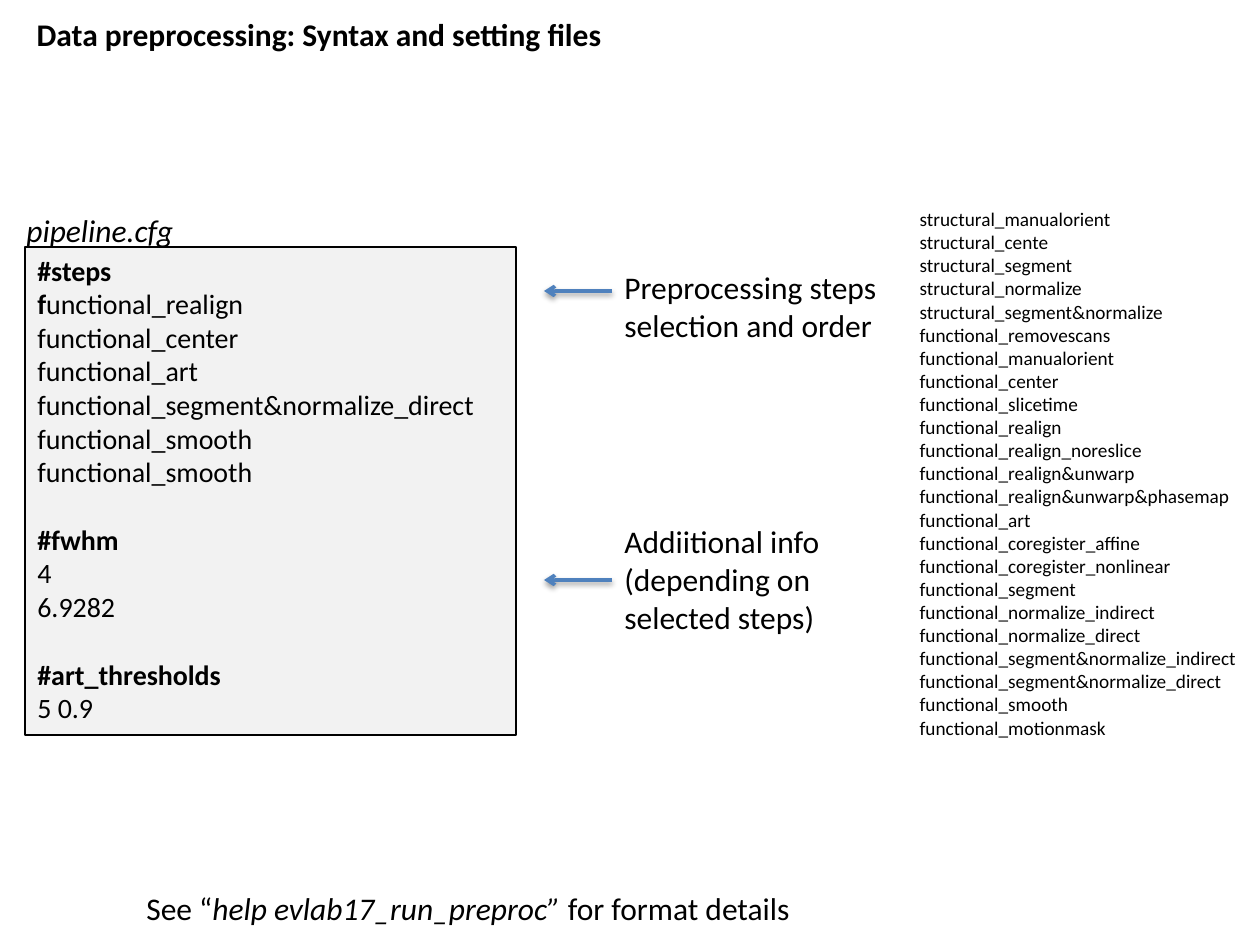
"""Build the slide on data preprocessing syntax and setting files."""
from lxml.etree import SubElement
from pptx import Presentation
from pptx.dml.color import RGBColor
from pptx.enum.shapes import MSO_CONNECTOR, MSO_SHAPE
from pptx.enum.text import MSO_ANCHOR, MSO_AUTO_SIZE, PP_ALIGN
from pptx.oxml import parse_xml
from pptx.oxml.ns import nsdecls, qn
from pptx.util import Emu, Pt

EMU_PER_PX = 914400 / 126
BLANK_LINE = 19.5


def px(*lengths):
    return [Emu(round(length * EMU_PER_PX)) for length in lengths]


def write(shape, box, paragraphs, size, wrap=True):
    shape.left, shape.top, shape.width, shape.height = px(*box)
    frame = shape.text_frame
    frame.word_wrap = wrap
    frame.auto_size = MSO_AUTO_SIZE.NONE
    frame.vertical_anchor = MSO_ANCHOR.TOP
    for index, (space_before, runs) in enumerate(paragraphs):
        paragraph = frame.add_paragraph() if index else frame.paragraphs[0]
        paragraph.alignment = PP_ALIGN.LEFT
        paragraph.space_before = Pt(space_before)
        for text, style in runs:
            run = paragraph.add_run()
            run.text = text
            run.font.name = "Calibri"
            run.font.size = Pt(size)
            run.font.bold = style == "bold"
            run.font.italic = style == "italic"
            run.font.color.rgb = RGBColor.from_string("000000")


presentation = Presentation()
presentation.slide_width, presentation.slide_height = px(1260, 945)
slide = presentation.slides.add_slide(presentation.slide_layouts[1])
shapes = slide.shapes

title = [("Data preprocessing: Syntax and setting files", "bold")]
write(shapes.title, (24, 9, 1178, 50), [(0, title)], 18)

settings = [
    (0, [("#steps", "bold")]),
    (0, [("f", "bold"), ("unctional_realign", "")]),
    (0, [("functional_center", "")]),
    (0, [("functional_art", "")]),
    (0, [("functional_segment&normalize_direct", "")]),
    (0, [("functional_smooth", "")]),
    (0, [("functional_smooth", "")]),
    (BLANK_LINE, [("#fwhm", "bold")]),
    (0, [("4", "")]),
    (0, [("6.9282", "")]),
    (BLANK_LINE, [("#art_thresholds", "bold")]),
    (0, [("5 0.9", "")]),
]
settings_box = shapes.add_shape(MSO_SHAPE.RECTANGLE, *px(25, 247, 491, 488))
settings_box.shadow.inherit = False
settings_box.fill.solid()
settings_box.fill.fore_color.rgb = RGBColor.from_string("F2F2F2")
settings_box.line.color.rgb = RGBColor.from_string("000000")
settings_box.line.width = Pt(0.75)
write(settings_box, (25, 247, 491, 488), settings, 16)

available_steps = [
    "structural_manualorient", "structural_cente", "structural_segment",
    "structural_normalize", "structural_segment&normalize",
    "functional_removescans", "functional_manualorient", "functional_center",
    "functional_slicetime", "functional_realign", "functional_realign_noreslice",
    "functional_realign&unwarp", "functional_realign&unwarp&phasemap",
    "functional_art", "functional_coregister_affine",
    "functional_coregister_nonlinear", "functional_segment",
    "functional_normalize_indirect", "functional_normalize_direct",
    "functional_segment&normalize_indirect", "functional_segment&normalize_direct",
    "functional_smooth", "functional_motionmask",
]
step_list = slide.placeholders[1]
write(step_list, (907, 201, 360, 549), [(0, [(step, "")]) for step in available_steps], 11)
for paragraph in step_list.text_frame.paragraphs:
    properties = paragraph._p.get_or_add_pPr()
    properties.set("marL", "0")
    properties.set("indent", "0")
    SubElement(properties, qn("a:buNone"))

labels = [
    ((14, 205, 181, 50), [("pipeline.cfg", "italic")], False),
    ((612, 262, 289, 89), [("Preprocessing steps selection and order", "")], True),
    ((612, 516, 289, 127), [("Addiitional info (depending on selected steps)", "")], True),
    ((134, 883, 1018, 50), [("See “", ""), ("help evlab17_run_preproc” ", "italic"),
                            ("for format details", "")], True),
]
for box, runs, wrap in labels:
    write(shapes.add_textbox(*px(*box)), box, [(0, runs)], 18, wrap)

for arrow_y in (291, 580):
    arrow = shapes.add_connector(MSO_CONNECTOR.STRAIGHT, *px(612, arrow_y, 544, arrow_y))
    arrow.line.color.rgb = RGBColor.from_string("4F81BD")
    arrow.line.width = Pt(2)
    SubElement(arrow.line._get_or_add_ln(), qn("a:tailEnd"), type="arrow")
    arrow._element.spPr.append(parse_xml(
        f'<a:effectLst {nsdecls("a")}>'
        '<a:outerShdw blurRad="40000" dist="20000" dir="5400000" rotWithShape="0">'
        '<a:srgbClr val="000000"><a:alpha val="38000"/></a:srgbClr>'
        '</a:outerShdw></a:effectLst>'))

presentation.save("out.pptx")
